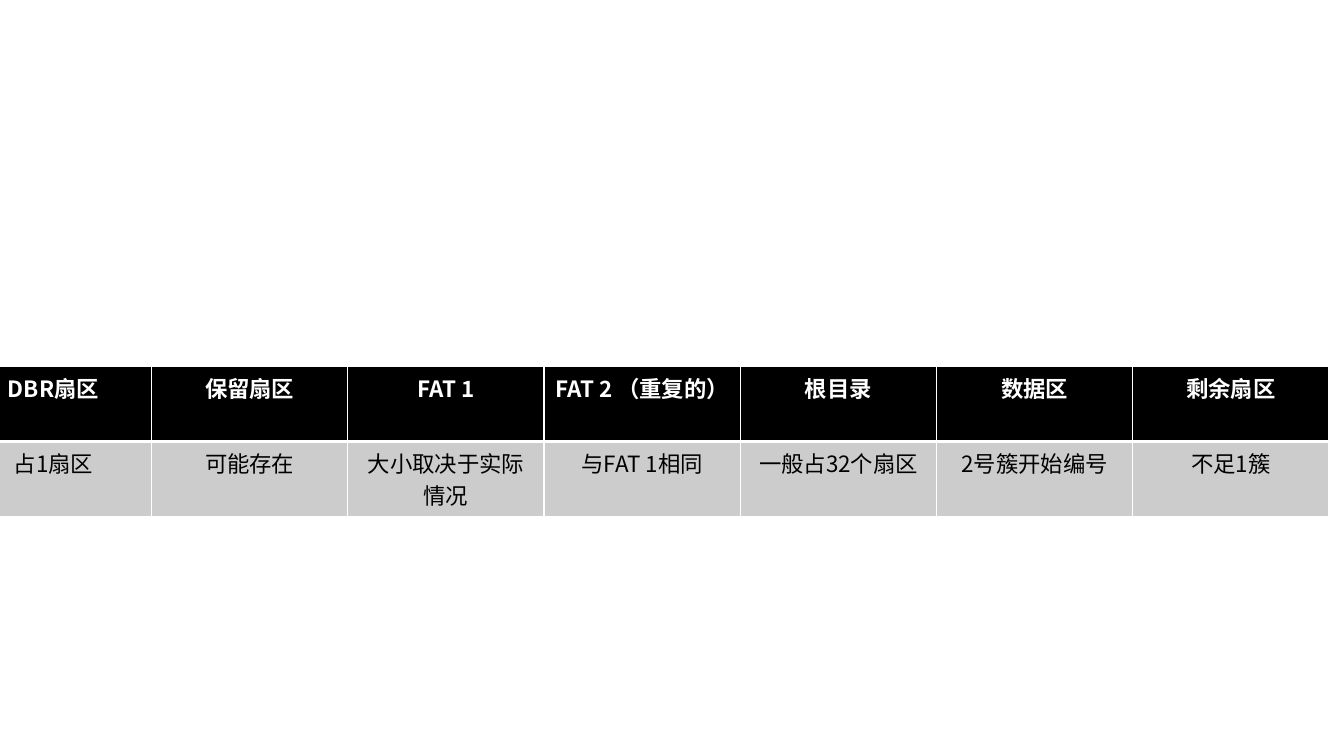
from lxml import etree
from pptx import Presentation
from pptx.dml.color import RGBColor
from pptx.enum.text import PP_ALIGN
from pptx.oxml.ns import qn
from pptx.util import Pt

CENTER = PP_ALIGN.CENTER
FACE = "Noto Sans CJK SC"
COLORS = {"black": "000000", "white": "FFFFFF", "gray": "CCCCCC"}

AREAS = [
    ("DBR扇区", "占1扇区"),
    ("保留扇区", "可能存在"),
    ("FAT 1", "大小取决于实际情况"),
    ("FAT 2 （重复的）", "与FAT 1相同"),
    ("根目录", "一般占32个扇区"),
    ("数据区", "2号簇开始编号"),
    ("剩余扇区", "不足1簇"),
]
STYLES = [
    {"fill": "black", "ink": "white", "bold": True,
     "edges": {"L": 1, "R": 1, "T": 1, "B": 3}},
    {"fill": "gray", "ink": "black", "bold": False,
     "edges": {"L": 1, "R": 1, "T": 3, "B": 1}},
]
LEFT, TOP = -31.9, 262
COL, ROW = 140.2, 29.2


def color(name):
    return RGBColor.from_string(COLORS[name])


def add_edges(cell, edges):
    props = cell._tc.get_or_add_tcPr()
    for spot, (side, width) in enumerate(edges.items()):
        line = etree.Element(qn(f"a:ln{side}"), w=str(Pt(width)))
        fill = etree.SubElement(line, qn("a:solidFill"))
        etree.SubElement(fill, qn("a:srgbClr"), val=COLORS["white"])
        props.insert(spot, line)


def fill_cell(cell, text, style):
    cell.fill.solid()
    cell.fill.fore_color.rgb = color(style["fill"])
    para = cell.text_frame.paragraphs[0]
    para.alignment = CENTER
    run = para.add_run()
    run.text = text
    form = {"name": FACE, "size": Pt(16), "bold": style["bold"]}
    for key, value in form.items():
        setattr(run.font, key, value)
    run.font.color.rgb = color(style["ink"])
    etree.SubElement(run._r.get_or_add_rPr(), qn("a:ea"), typeface=FACE)
    add_edges(cell, style["edges"])


deck = Presentation()
deck.slide_width, deck.slide_height = Pt(960), Pt(540)
slide = deck.slides.add_slide(deck.slide_layouts[6])

count = len(AREAS)
frame = slide.shapes.add_table(
    len(STYLES), count, Pt(LEFT), Pt(TOP), Pt(COL * count), Pt(ROW * len(STYLES)))
table = frame.table
for col in table.columns:
    col.width = Pt(COL)
for row in table.rows:
    row.height = Pt(ROW)
for c, texts in enumerate(AREAS):
    for r, (text, style) in enumerate(zip(texts, STYLES)):
        fill_cell(table.cell(r, c), text, style)

deck.save("out.pptx")
